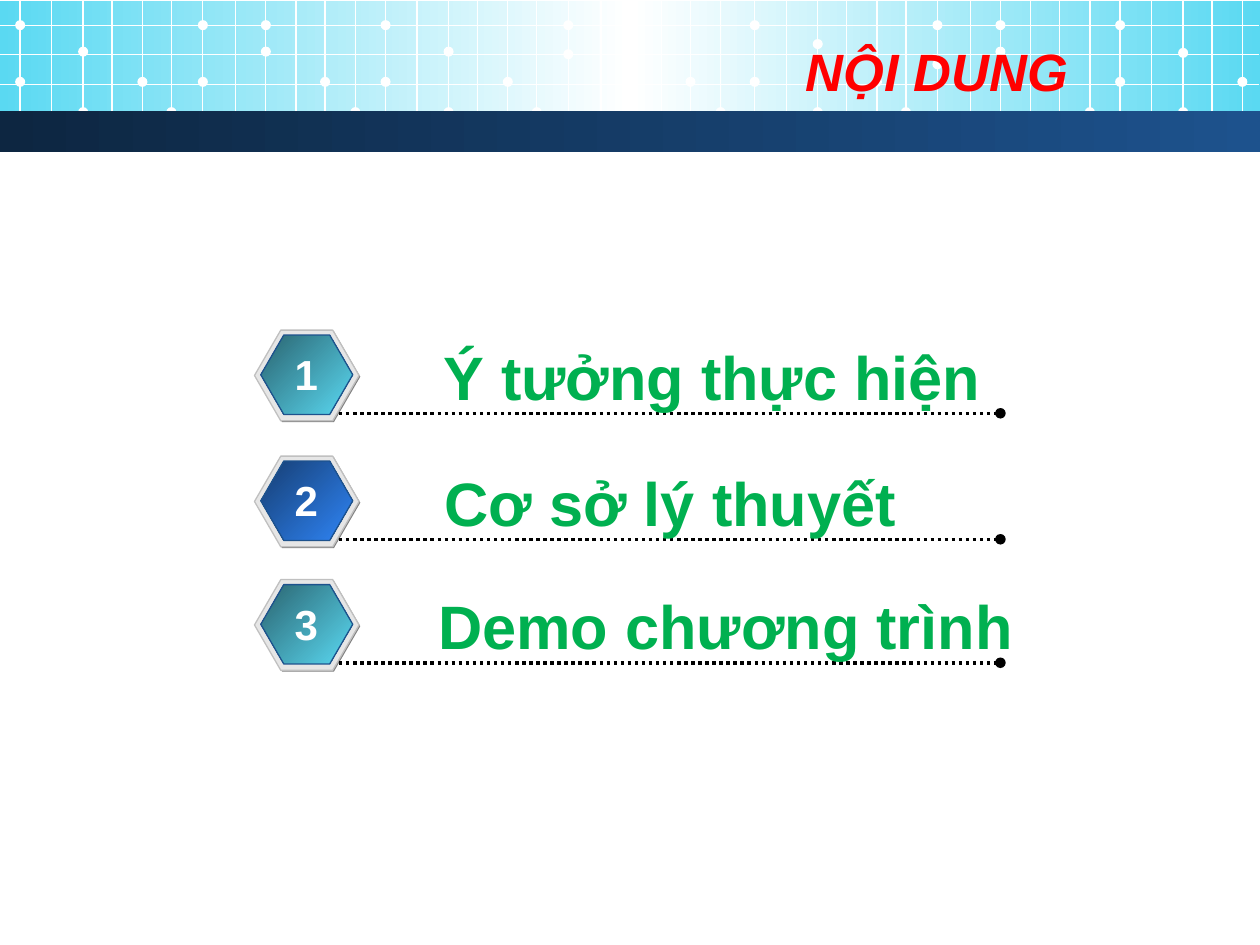
from copy import deepcopy

from pptx import Presentation
from pptx import util as u
from pptx.dml.color import RGBColor
from pptx.enum import dml, shapes, text
from pptx.oxml import ns, xmlchemy

HUES = {
    "white": "FFFFFF", "aqua": "5AD9F2", "teal": "2A6470", "navy": "0D2641",
    "blue": "1D528D", "deep": "163E72", "sky": "2F85F7", "red": "FF0000",
    "green": "00B050", "gray": "808080", "pale": "E6E6E6", "rim": "C0C0C0",
    "black": "000000",
}
STEPS = (0, 0.25, 0.5, 0.73, 0.97, 1.2, 1.45, 1.71, 1.95, 2.19, 2.42, 2.66)
TILES = ((0.16, 0.41, 0.65), (3.06, 0.41, 0.43), (5.99, 0.35, 0.51), (8.89, 0.42, 0.65))
ITEMS = (
    (2.62, 3.42, 4.5, "Ý tưởng thực hiện", ("teal", "aqua")),
    (3.62, 3.43, 3.82, "Cơ sở lý thuyết", ("deep", "sky")),
    (4.6, 3.38, 4.8, "Demo chương trình", ("teal", "aqua")),
)


def rgb(name):
    """Return the named colour."""
    return RGBColor.from_string(HUES[name])


def box(x, y, w, h):
    """Turn inches into a left, top, width, height tuple."""
    return tuple(u.Inches(n) for n in (x, y, w, h))


def blend(fill, hues, angle):
    """Fill with evenly spaced gradient stops."""
    fill.gradient()
    fill.gradient_angle = angle
    stops = fill.gradient_stops
    first = stops[0]._gs
    for _ in hues[2:]:
        first.addnext(deepcopy(first))
    for i, (stop, hue) in enumerate(zip(fill.gradient_stops, hues)):
        stop.position = i / (len(hues) - 1)
        stop.color.rgb = rgb(hue)


def add_form(slide, kind, place, hues, edge=None, angle=0):
    """Add a preset shape with a plain or gradient fill."""
    form = slide.shapes.add_shape(kind, *box(*place))
    form.shadow.inherit = False
    if len(hues) > 1:
        blend(form.fill, hues, angle)
    else:
        form.fill.solid()
        form.fill.fore_color.rgb = rgb(hues[0])
    if edge:
        form.line.color.rgb = rgb(edge)
        form.line.width = u.Pt(0.75)
    else:
        form.line.fill.background()
    return form


def add_line(slide, start, end, hue, width):
    """Add a straight line without a shadow."""
    ends = [u.Inches(n) for n in (*start, *end)]
    line = slide.shapes.add_connector(shapes.MSO_CONNECTOR.STRAIGHT, *ends)
    line.line.color.rgb = rgb(hue)
    line.line.width = u.Pt(width)
    line._element.spPr.append(xmlchemy.OxmlElement("a:effectLst"))
    return line


def style(frame, size, hue, align, slant=None):
    """Format the one paragraph of a text frame."""
    para = frame.paragraphs[0]
    para.alignment = align
    font = para.runs[0].font
    font.name, font.size = "Arial", u.Pt(size)
    font.bold, font.italic = True, slant
    font.color.rgb = rgb(hue)


def add_text(slide, place, words, size, hue, align):
    """Add an unwrapped text box."""
    frame = slide.shapes.add_textbox(*box(*place)).text_frame
    frame.text = words
    frame.word_wrap = False
    frame.auto_size = text.MSO_AUTO_SIZE.SHAPE_TO_FIT_TEXT
    style(frame, size, hue, align)


def add_tile(slide, start, mid, low):
    """Add one tile of the header grid with its dots."""
    cols = (0, 0, 2, 2, 4, 5, 6, 6, 8, 8, 10, 11)
    rows = (0.65, 0.2, mid, 0.89, 0.65, 0.89, low, 0.2, 0.41, 0.2, 0.65, 0.89)
    for step in STEPS:
        x = start + step
        if x < 10:
            add_line(slide, (x, 0), (x, 1.1), "white", 0.75)
    for col, y in zip(cols, rows):
        x = start + STEPS[col]
        if x < 10:
            add_form(slide, shapes.MSO_SHAPE.OVAL,
                     (x - 0.04, y - 0.04, 0.08, 0.08), ["white"])


def add_head(slide):
    """Add the header band and the title."""
    rect = shapes.MSO_SHAPE.RECTANGLE
    add_form(slide, rect, (0, 0.01, 10, 1.02), ["aqua", "white", "aqua"])
    for tile in TILES:
        add_tile(slide, *tile)
    for y in (0.2, 0.43, 0.67, 0.89):
        add_line(slide, (0, y), (9.99, y), "white", 0.75)
    add_form(slide, rect, (0, 0.88, 10, 0.33), ["navy", "blue"])
    title = slide.shapes.title
    slide.shapes._spTree.append(title._element)
    title.left, title.top, title.width, title.height = box(0.5, 0.25, 8.08, 0.62)
    frame = title.text_frame
    frame.text = "NỘI DUNG"
    frame.auto_size = text.MSO_AUTO_SIZE.NONE
    frame.vertical_anchor = text.MSO_ANCHOR.MIDDLE
    style(frame, 30, "red", text.PP_ALIGN.RIGHT, True)


def add_item(slide, num, top, left, wide, words, hues):
    """Add a numbered hexagon, its dotted line and its label."""
    layers = (
        ((2.03, top + 0.01, 0.83, 0.72), ["gray"], None),
        ((2.02, top, 0.83, 0.72), ["pale"], "rim"),
        ((2.07, top + 0.04, 0.73, 0.63), hues, "blue"),
    )
    for place, fill, edge in layers:
        form = add_form(slide, shapes.MSO_SHAPE.HEXAGON, place, fill, edge, 315)
        form.adjustments[0] = 0.29
    y = top + 0.66
    line = add_line(slide, (2.69, y), (7.94, y), "black", 2)
    line.line.dash_style = dml.MSO_LINE.ROUND_DOT
    tail = xmlchemy.OxmlElement("a:tailEnd")
    tail.set("type", "oval")
    line._element.spPr.find(ns.qn("a:ln")).append(tail)
    add_text(slide, (left, top + 0.02, wide, 0.69), words, 35, "green", text.PP_ALIGN.LEFT)
    add_text(slide, (2.24, top + 0.1, 0.38, 0.5), str(num), 24, "white", text.PP_ALIGN.CENTER)


def main():
    """Build the contents slide."""
    deck = Presentation()
    deck.slide_width, deck.slide_height = u.Inches(10), u.Inches(7.5)
    slide = deck.slides.add_slide(deck.slide_layouts[5])
    add_head(slide)
    for num, item in enumerate(ITEMS, 1):
        add_item(slide, num, *item)
    deck.save("out.pptx")


if __name__ == "__main__":
    main()
